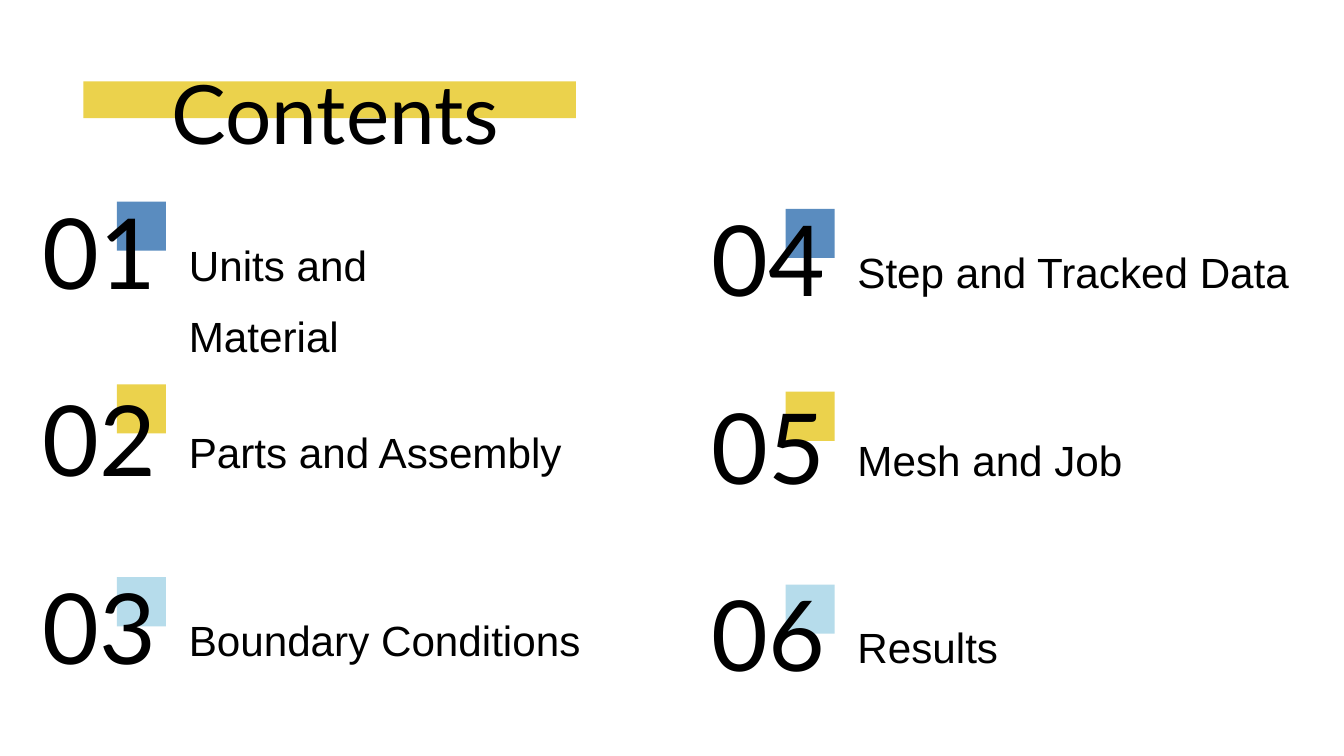
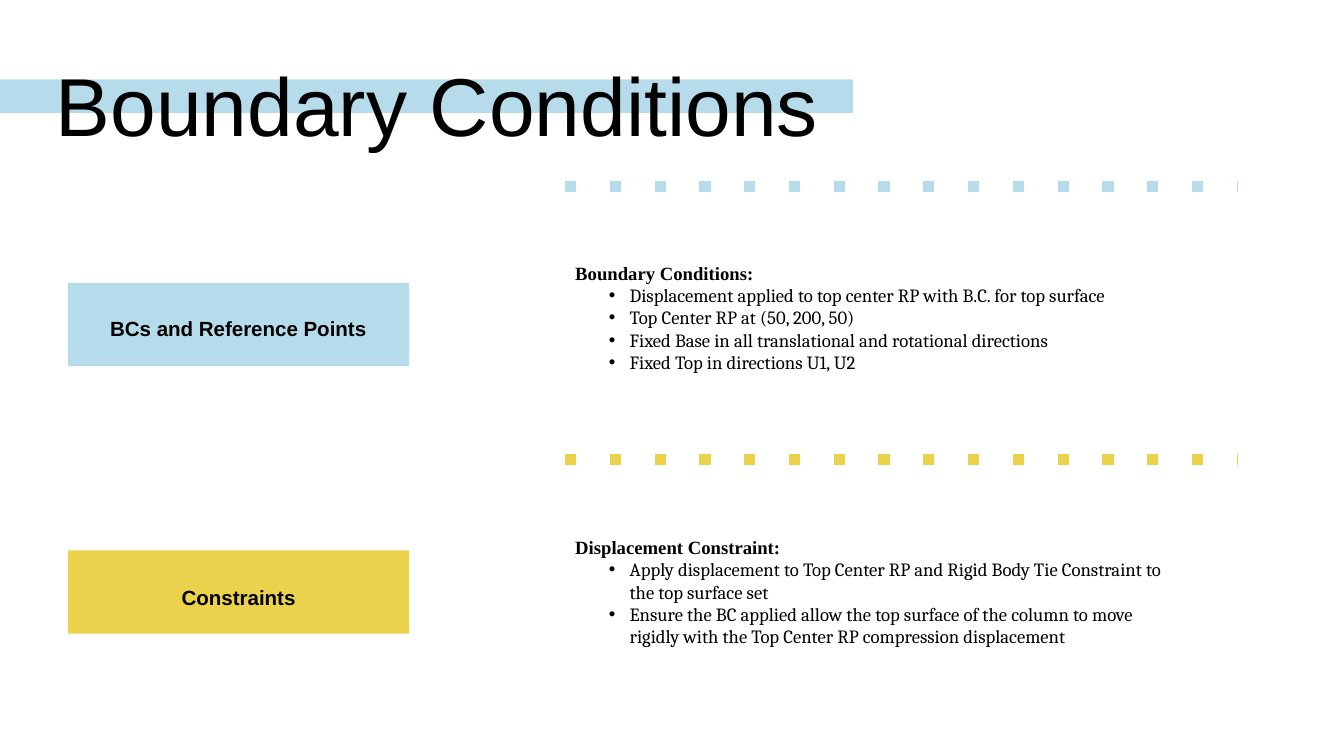
from dataclasses import dataclass
from typing import NamedTuple

from lxml.etree import SubElement
from pptx import Presentation
from pptx.dml.color import RGBColor
from pptx.enum.dml import MSO_LINE
from pptx.enum.shapes import MSO_CONNECTOR, MSO_SHAPE
from pptx.enum.text import MSO_ANCHOR, MSO_AUTO_SIZE as AutoSize, PP_ALIGN as Align
from pptx.oxml.ns import qn
from pptx.util import Pt

PX = 9144


class Style(NamedTuple):
    font: str
    size: float
    spacing: float = 1.0
    align: Align = Align.LEFT
    bold: bool = False


@dataclass(frozen=True)
class Theme:
    ink: str = "000000"
    yellow: str = "EBD24C"
    blue: str = "5A8CBF"
    pale: str = "B6DCEB"
    contents_title: Style = Style("Lato", 87.7, 1.4, Align.RIGHT)
    topic_title: Style = Style("Arial", 88, 1.4)
    number: Style = Style("Lato", 104.9, 1.09, Align.CENTER)
    entry: Style = Style("Arial", 45.2, 1.4)
    label: Style = Style("Arial", 22, 1.65, Align.CENTER, True)
    heading: Style = Style("Times New Roman", 20, bold=True)
    bullet: Style = Style("Cambria", 20)
    dots: float = 12


THEME = Theme()


class Box(NamedTuple):
    left: int
    top: int
    width: int
    height: int

    def inner(self, dx, dy, width, height):
        return Box(self.left + dx, self.top + dy, width, height)

    def emu(self):
        return [length * PX for length in self]


def style_paragraph(paragraph, style):
    paragraph.alignment = style.align
    paragraph.line_spacing = style.spacing
    paragraph.space_before = Pt(0)
    paragraph.font.name = style.font
    paragraph.font.size = Pt(style.size)
    paragraph.font.bold = style.bold
    paragraph.font.color.rgb = RGBColor.from_string(THEME.ink)


def prepare_frame(holder):
    frame = holder.text_frame
    frame.word_wrap = True
    frame.auto_size = AutoSize.SHAPE_TO_FIT_TEXT
    frame.vertical_anchor = MSO_ANCHOR.TOP
    frame.margin_left = frame.margin_top = frame.margin_right = frame.margin_bottom = 0
    return frame


def move(holder, box):
    holder.left, holder.top, holder.width, holder.height = box.emu()


def add_text(slide, box, words, style):
    frame = prepare_frame(slide.shapes.add_textbox(*box.emu()))
    frame.text = words
    style_paragraph(frame.paragraphs[0], style)


def add_block(slide, box, color):
    block = slide.shapes.add_shape(MSO_SHAPE.RECTANGLE, *box.emu())
    block.shadow.inherit = False
    block.fill.solid()
    block.fill.fore_color.rgb = RGBColor.from_string(color)
    block.line.fill.background()
    return block


def add_title(slide, box, words, style, band_box, band_color):
    band = add_block(slide, band_box, band_color)
    title = slide.shapes.title
    title.element.addprevious(band.element)
    move(title, box)
    frame = prepare_frame(title)
    frame.text = words
    style_paragraph(frame.paragraphs[0], style)


def add_dotted_rule(slide, box, color):
    left, top, width, _ = box.emu()
    rule = slide.shapes.add_connector(MSO_CONNECTOR.STRAIGHT, left, top, left + width, top)
    rule.line.color.rgb = RGBColor.from_string(color)
    rule.line.width = Pt(THEME.dots)
    rule.line.dash_style = MSO_LINE.ROUND_DOT
    properties = rule.element.spPr
    properties.find(qn("a:ln")).find(qn("a:prstDash")).set("val", "dot")
    SubElement(properties, qn("a:effectLst"))


def set_bullet(paragraph, margin, indent, mark=None):
    properties = paragraph._p.get_or_add_pPr()
    properties.set("marL", str(margin * PX))
    properties.set("indent", str(indent * PX))
    if not mark:
        SubElement(properties, qn("a:buNone"))
        return
    color = SubElement(properties, qn("a:buClr"))
    SubElement(color, qn("a:srgbClr"), val=THEME.ink)
    SubElement(properties, qn("a:buFont"), typeface="Arial")
    SubElement(properties, qn("a:buChar"), char=mark)


def fill_list(body, box, heading, points):
    move(body, box)
    frame = prepare_frame(body)
    frame.text = "\n".join([heading, *points])
    first, *rest = frame.paragraphs
    set_bullet(first, 0, 0)
    style_paragraph(first, THEME.heading)
    for paragraph in rest:
        paragraph.level = 1
        set_bullet(paragraph, 81, -31, "•")
        style_paragraph(paragraph, THEME.bullet)


def add_contents_entry(slide, box, number, words, color, square_drop):
    add_block(slide, box.inner(119, square_drop, 73, 73), color)
    add_text(slide, box.inner(0, 0, 186, box.height), number, THEME.number)
    add_text(slide, box.inner(226, 57, box.width - 226, 106), words, THEME.entry)


def build_contents(deck):
    slide = deck.slides.add_slide(deck.slide_layouts[5])
    add_title(slide, Box(13, 34, 730, 148), "Contents", THEME.contents_title,
              Box(124, 121, 733, 55), THEME.yellow)
    columns = (
        (Box(55, 269, 853, 177), ("Units and Material", "Parts and Assembly", "Boundary Conditions")),
        (Box(1050, 280, 870, 192), ("Step and Tracked Data", "Mesh and Job", "Results")),
    )
    squares = ((THEME.blue, 31), (THEME.yellow, 24), (THEME.pale, 32))
    number = 0
    for column, entries in columns:
        for row, (words, (color, drop)) in enumerate(zip(entries, squares)):
            number += 1
            width = 718 if number == 1 else column.width
            entry_box = column.inner(0, row * 279, width, column.height)
            add_contents_entry(slide, entry_box, f"{number:02}", words, color, drop)


def add_topic(slide, box, body, color, label, label_box, heading, points, list_box):
    add_block(slide, box.inner(0, 0, 508, 124), color)
    add_text(slide, label_box, label, THEME.label)
    fill_list(body, list_box, heading, points)


def build_boundary_conditions(deck):
    slide = deck.slides.add_slide(deck.slide_layouts[3])
    add_title(slide, Box(83, 23, 1187, 207), "Boundary Conditions", THEME.topic_title,
              Box(0, 118, 1269, 50), THEME.pale)
    _, conditions, constraints = slide.placeholders
    upper = Box(101, 421, 1740, 124)
    lower = Box(101, 819, 1740, 124)
    add_topic(slide, upper, conditions, THEME.pale,
              "BCs and Reference Points", upper.inner(36, 26, 435, 61),
              "Boundary Conditions:",
              ("Displacement applied to top center RP with B.C. for top surface",
               "Top Center RP at (50, 200, 50)",
               "Fixed Base in all translational and rotational directions",
               "Fixed Top in directions U1, U2"),
              upper.inner(755, -32, 985, 168))
    add_topic(slide, lower, constraints, THEME.yellow,
              "Constraints", lower.inner(50, 27, 408, 122),
              "Displacement Constraint:",
              ("Apply displacement to Top Center RP and Rigid Body Tie Constraint to the top surface set",
               "Ensure the BC applied allow the top surface of the column to move rigidly "
               "with the Top Center RP compression displacement"),
              lower.inner(755, -22, 905, 168))
    for top, color in ((278, THEME.pale), (684, THEME.yellow)):
        add_dotted_rule(slide, Box(841, top, 1000, 0), color)


def main():
    deck = Presentation()
    deck.slide_width, deck.slide_height = 2000 * PX, 1125 * PX
    build_contents(deck)
    build_boundary_conditions(deck)
    deck.save("out.pptx")


if __name__ == "__main__":
    main()
